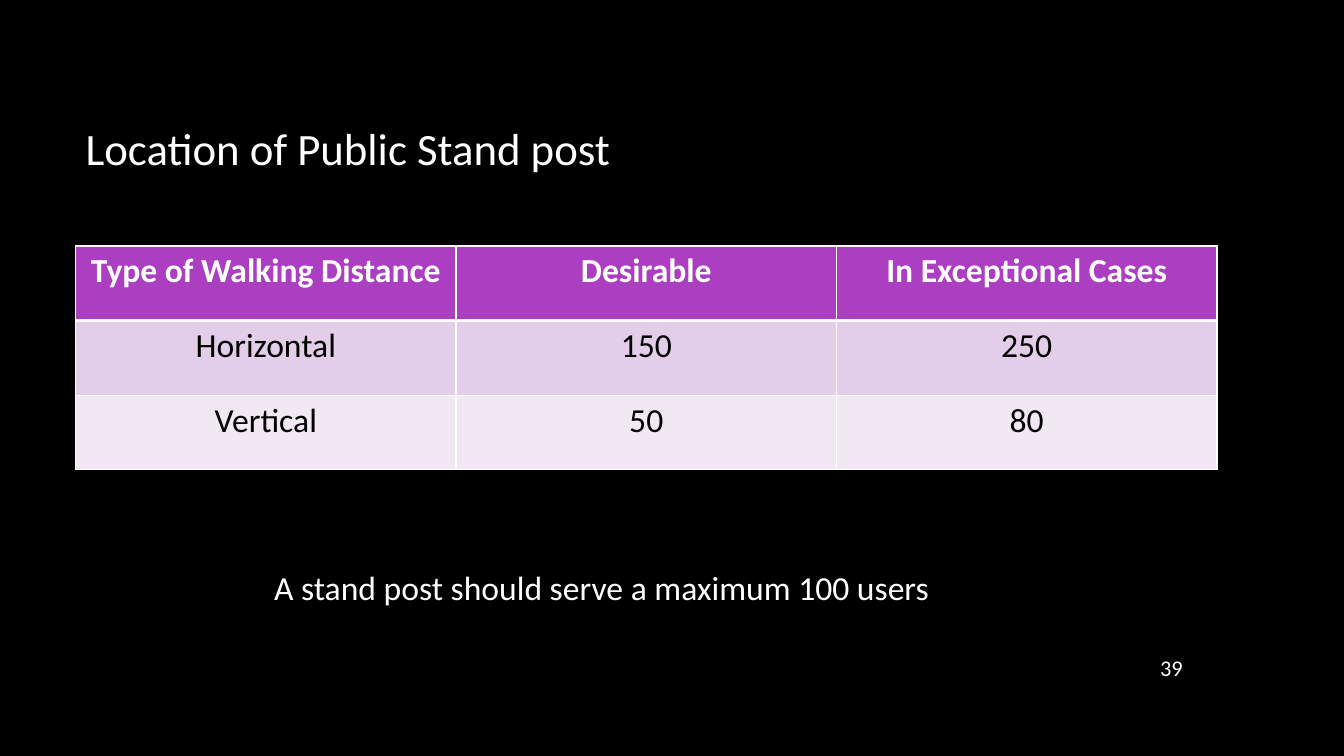
from lxml import etree
from pptx import Presentation, util as u
from pptx.dml.color import RGBColor
from pptx.enum import text
from pptx.oxml.ns import qn

PX = 9144  # 100 px to the inch
FONT = "Calibri"
HUES = {
    "back": "000000",
    "white": "FFFFFF",
    "black": "000000",
    "head": "AC3EC1",
    "odd": "E3CEE9",
    "even": "F1E8F4",
}
LEFT, MID, RIGHT = text.PP_ALIGN.LEFT, text.PP_ALIGN.CENTER, text.PP_ALIGN.RIGHT
TOP, CENTER = text.MSO_ANCHOR.TOP, text.MSO_ANCHOR.MIDDLE

ROWS = [
    ["Type of Walking Distance", "Desirable", "In Exceptional Cases"],
    ["Horizontal", "150", "250"],
    ["Vertical", "50", "80"],
]


def hue(name):
    return RGBColor.from_string(HUES[name])


class Page:
    def __init__(self, wide, high):
        self.deck = Presentation()
        self.deck.slide_width, self.deck.slide_height = wide * PX, high * PX
        self.slide = self.deck.slides.add_slide(self.deck.slide_layouts[6])
        fill = self.slide.background.fill
        fill.solid()
        fill.fore_color.rgb = hue("back")

    def style(self, frame, size, color, align, bold=False):
        for para in frame.paragraphs:
            para.alignment = align
            for run in para.runs:
                font = run.font
                font.name, font.size, font.bold = FONT, u.Pt(size), bold
                font.color.rgb = hue(color)

    def label(self, words, box, size, align=LEFT, anchor=TOP):
        shape = self.slide.shapes.add_textbox(*(n * PX for n in box))
        frame = shape.text_frame
        frame.word_wrap = True
        frame.vertical_anchor = anchor
        frame.text = words
        self.style(frame, size, "white", align)

    def border(self, cell, top, bottom):
        """Draw white cell edges, one point wide at the sides."""
        props = cell._tc.get_or_add_tcPr()
        edges = {"lnL": 1, "lnR": 1, "lnT": top, "lnB": bottom}
        for spot, (tag, width) in enumerate(edges.items()):
            line = etree.Element(qn("a:" + tag), w=str(u.Pt(width)))
            fill = etree.SubElement(line, qn("a:solidFill"))
            etree.SubElement(fill, qn("a:srgbClr"), val=HUES["white"])
            props.insert(spot, line)

    def table(self, rows, box, size):
        shape = self.slide.shapes.add_table(
            len(rows), len(rows[0]), *(n * PX for n in box))
        for r, row in enumerate(rows):
            head = r == 0
            shade = "head" if head else "odd" if r % 2 else "even"
            for c, words in enumerate(row):
                cell = shape.table.cell(r, c)
                cell.fill.solid()
                cell.fill.fore_color.rgb = hue(shade)
                self.border(cell, 3 if r == 1 else 1, 3 if head else 1)
                cell.text_frame.text = words
                self.style(cell.text_frame, size,
                           "white" if head else "black", MID, head)


def main():
    page = Page(1333, 750)
    page.label("Location of Public Stand post", (75, 67, 1108, 159), 32,
               anchor=CENTER)
    page.table(ROWS, (75, 244, 1132, 222), 24)
    page.label("39", (1123, 642, 60, 41), 16, RIGHT, CENTER)
    page.label("A stand post should serve a maximum 100 users",
               (262, 558, 906, 50), 24)
    page.deck.save("out.pptx")


if __name__ == "__main__":
    main()
